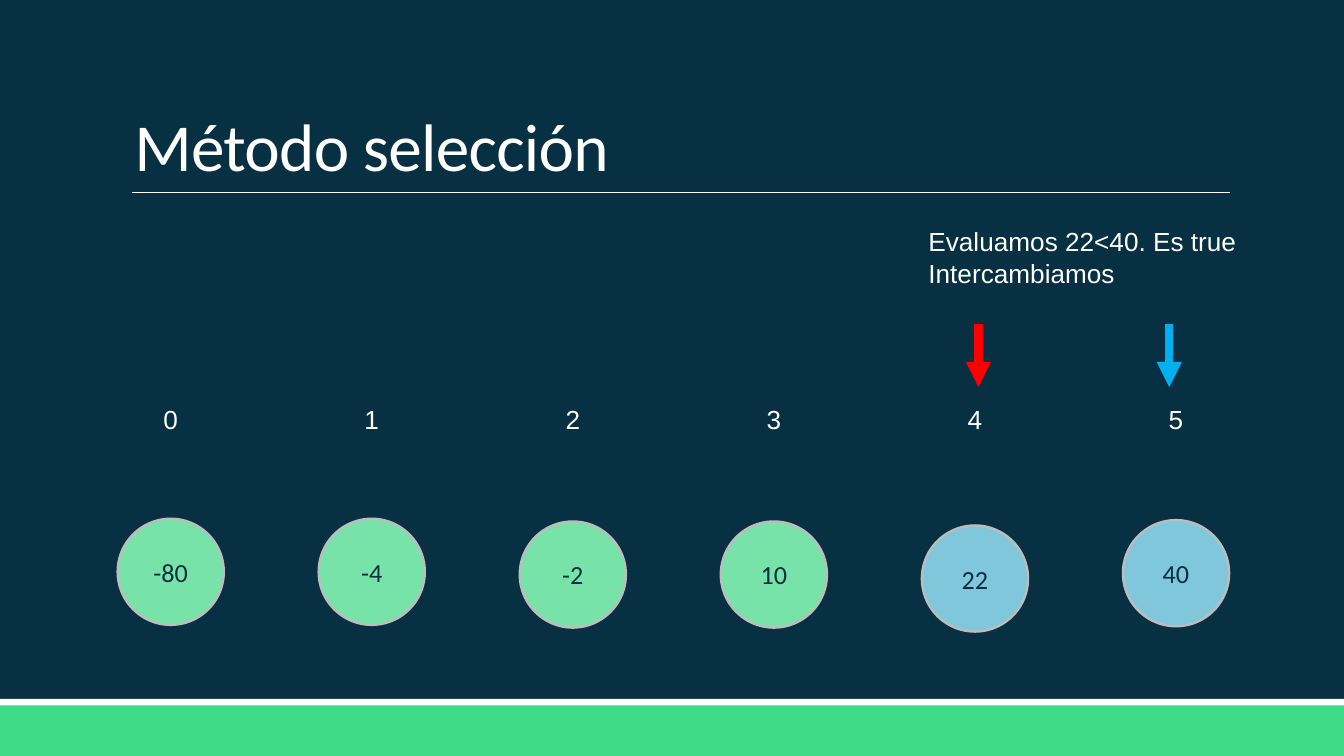
import pptx
import pptx.dml.color
import pptx.enum.shapes
import pptx.enum.text
import pptx.oxml
import pptx.oxml.ns
import pptx.util
from pptx.util import Inches

COLORS = {
    "navy": "073042",
    "green": "3DDB85",
    "white": "FFFFFF",
    "sorted": "78E3A8",
    "pending": "80C7DC",
    "outline": "BDBDBD",
    "red": "FF0000",
    "blue": "00B0F0",
}
VALUES = [
    ("-80", 3.86, "sorted"),
    ("-4", 3.86, "sorted"),
    ("-2", 3.88, "sorted"),
    ("10", 3.88, "sorted"),
    ("22", 3.91, "pending"),
    ("40", 3.87, "pending"),
]
FIRST_CENTER = 1.27
COLUMN_STEP = 1.496
DIAMETER = 0.79
INDEX_WIDTH = 0.47
ALIGN = pptx.enum.text.PP_ALIGN
ANCHOR = pptx.enum.text.MSO_ANCHOR
AUTO_SIZE = pptx.enum.text.MSO_AUTO_SIZE
SHAPE = pptx.enum.shapes.MSO_SHAPE


def rgb(name):
    return pptx.dml.color.RGBColor.from_string(COLORS[name])


def write_text(shape, text, size=14, font="Arial", color="white", align=ALIGN.LEFT,
               anchor=ANCHOR.TOP, auto_size=AUTO_SIZE.NONE, line_spacing=None, tracking=None):
    frame = shape.text_frame
    frame.text = text
    frame.word_wrap = True
    frame.auto_size = auto_size
    frame.vertical_anchor = anchor
    for paragraph in frame.paragraphs:
        paragraph.alignment = align
        paragraph.line_spacing = line_spacing
        for run in paragraph.runs:
            run.font.size = pptx.util.Pt(size)
            run.font.name = font
            run.font.color.rgb = rgb(color)
            if tracking is not None:
                run._r.get_or_add_rPr().set("spc", str(round(tracking * 100)))


def add_text(slide, text, left, top, width, height, **text_format):
    box = slide.shapes.add_textbox(Inches(left), Inches(top), Inches(width), Inches(height))
    write_text(box, text, auto_size=AUTO_SIZE.SHAPE_TO_FIT_TEXT, **text_format)


def add_filled_shape(slide, kind, left, top, width, height, fill, outline=None):
    shape = slide.shapes.add_shape(kind, Inches(left), Inches(top), Inches(width), Inches(height))
    shape.shadow.inherit = False
    shape.fill.solid()
    shape.fill.fore_color.rgb = rgb(fill)
    if outline:
        shape.line.color.rgb = rgb(outline)
        shape.line.width = pptx.util.Pt(1.25)
    else:
        shape.line.fill.background()
    return shape


def add_line(slide, start, end, color, width, arrow=False):
    line = slide.shapes.add_connector(
        pptx.enum.shapes.MSO_CONNECTOR.STRAIGHT, *map(Inches, start + end))
    line.line.color.rgb = rgb(color)
    line.line.width = pptx.util.Pt(width)
    if arrow:
        tail = pptx.oxml.parse_xml(
            f'<a:tailEnd {pptx.oxml.ns.nsdecls("a")} type="triangle"/>')
        line.line._get_or_add_ln().append(tail)
    effects = pptx.oxml.parse_xml(f'<a:effectLst {pptx.oxml.ns.nsdecls("a")}/>')
    line._element.spPr.append(effects)


def add_title(slide, text):
    title = slide.shapes.title
    title.left, title.top = Inches(0.9), Inches(0.24)
    title.width, title.height = Inches(8.25), Inches(1.19)
    write_text(title, text, size=36, font="Calibri", anchor=ANCHOR.BOTTOM,
               line_spacing=0.85, tracking=-0.4)


def add_array(slide):
    for index, (value, top, fill) in enumerate(VALUES):
        center = FIRST_CENTER + index * COLUMN_STEP
        circle = add_filled_shape(slide, SHAPE.OVAL, center - DIAMETER / 2, top,
                                  DIAMETER, DIAMETER, fill, "outline")
        write_text(circle, value, font="Calibri", color="navy",
                   align=ALIGN.CENTER, anchor=ANCHOR.MIDDLE)
        add_text(slide, str(index), center - INDEX_WIDTH / 2, 2.95,
                 INDEX_WIDTH, 0.34, align=ALIGN.CENTER)


def main():
    presentation = pptx.Presentation()
    presentation.slide_width = Inches(10)
    presentation.slide_height = Inches(5.625)
    slide = presentation.slides.add_slide(presentation.slide_layouts[5])
    slide.background.fill.solid()
    slide.background.fill.fore_color.rgb = rgb("navy")

    add_filled_shape(slide, SHAPE.RECTANGLE, 0, 5.25, 10, 0.38, "green")
    add_filled_shape(slide, SHAPE.RECTANGLE, 0, 5.2, 10, 0.05, "white")
    add_line(slide, (0.98, 1.43), (9.15, 1.43), "white", 0.5)
    add_title(slide, "Método selección")
    add_array(slide)
    for x, color in ((7.28, "red"), (8.7, "blue")):
        add_line(slide, (x, 2.41), (x, 2.88), color, 4.5, arrow=True)
    add_text(slide, "Evaluamos 22<40. Es true\nIntercambiamos", 6.81, 1.63, 2.6, 0.57)
    presentation.save("out.pptx")


main()
